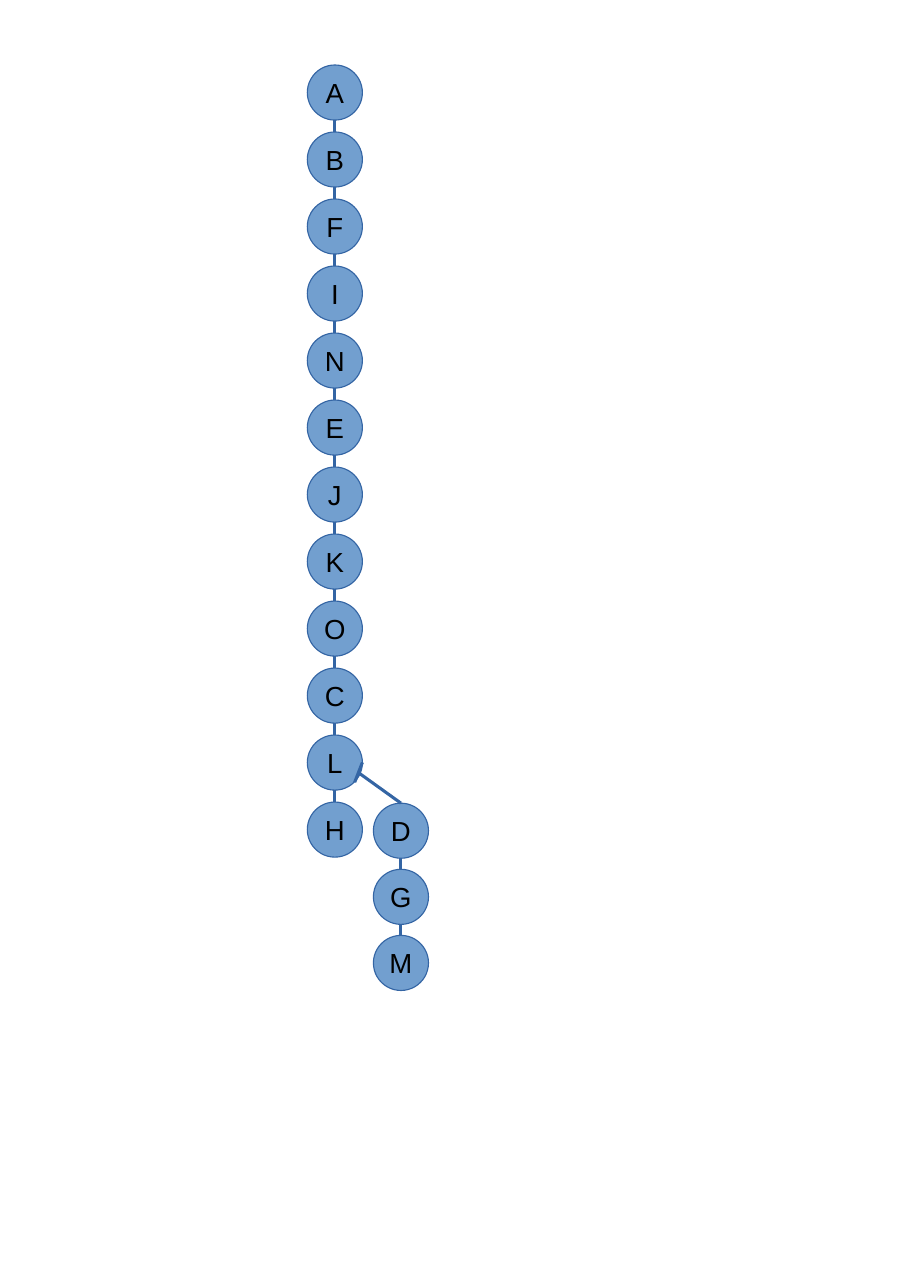
from lxml.etree import SubElement
from pptx import Presentation
from pptx.dml.color import RGBColor
from pptx.enum.shapes import MSO_CONNECTOR, MSO_SHAPE
from pptx.enum.text import MSO_ANCHOR, PP_ALIGN
from pptx.oxml.ns import qn
from pptx.util import Inches, Pt

DIAMETER = 0.5
NODE_FILL = "729FCF"
EDGE_COLOUR = "3465A4"


def colour(hex_string):
    return RGBColor.from_string(hex_string)


def outline(part):
    part.line.color.rgb = colour(EDGE_COLOUR)
    part.line.width = Pt(0)


def write(frame, text, size=18, font="Arial", ink="000000", align=PP_ALIGN.CENTER):
    frame.word_wrap = False
    frame.vertical_anchor = MSO_ANCHOR.MIDDLE
    paragraph = frame.paragraphs[0]
    paragraph.alignment = align
    run = paragraph.add_run()
    run.text = text
    run.font.size = Pt(size)
    run.font.name = font
    run.font.color.rgb = colour(ink)


def add_node(slide, letter, left, top):
    node = slide.shapes.add_shape(
        MSO_SHAPE.OVAL, Inches(left), Inches(top), Inches(DIAMETER), Inches(DIAMETER)
    )
    node.shadow.inherit = False
    node.fill.solid()
    node.fill.fore_color.rgb = colour(NODE_FILL)
    outline(node)
    write(node.text_frame, letter)
    return node


def add_edge(slide, start, end):
    edge = slide.shapes.add_connector(
        MSO_CONNECTOR.STRAIGHT, *[Inches(value) for value in (*start, *end)]
    )
    outline(edge)
    SubElement(edge._element.spPr, qn("a:effectLst"))
    return edge


def add_chain(slide, letters, left, top, height):
    pitch = (height - DIAMETER) / (len(letters) - 1)
    centre = left + DIAMETER / 2
    tops = [top + index * pitch for index in range(len(letters))]
    nodes = [add_node(slide, letter, left, y) for letter, y in zip(letters, tops)]
    for parent_top, child_top, child in zip(tops, tops[1:], nodes[1:]):
        edge = add_edge(slide, (centre, parent_top + DIAMETER), (centre, child_top))
        edge.end_connect(child, 0)
    return nodes


def add_fork(slide, left, top, branch_root):
    right = left + DIAMETER
    add_edge(slide, (right, top + 0.25), (right - 0.07, top + 0.43))
    branch_edge = add_edge(slide, (right - 0.04, top + 0.34), (right + 0.35, top + 0.62))
    branch_edge.end_connect(branch_root, 0)


def main():
    presentation = Presentation()
    presentation.slide_width = Inches(8.27)
    presentation.slide_height = Inches(11.69)
    slide = presentation.slides.add_slide(presentation.slide_layouts[6])
    add_chain(slide, "ABFINEJKOCLH", left=2.79, top=0.59, height=7.19)
    branch = add_chain(slide, "DGM", left=3.39, top=7.29, height=1.7)
    add_fork(slide, left=2.79, top=6.67, branch_root=branch[0])
    presentation.save("out.pptx")


if __name__ == "__main__":
    main()
